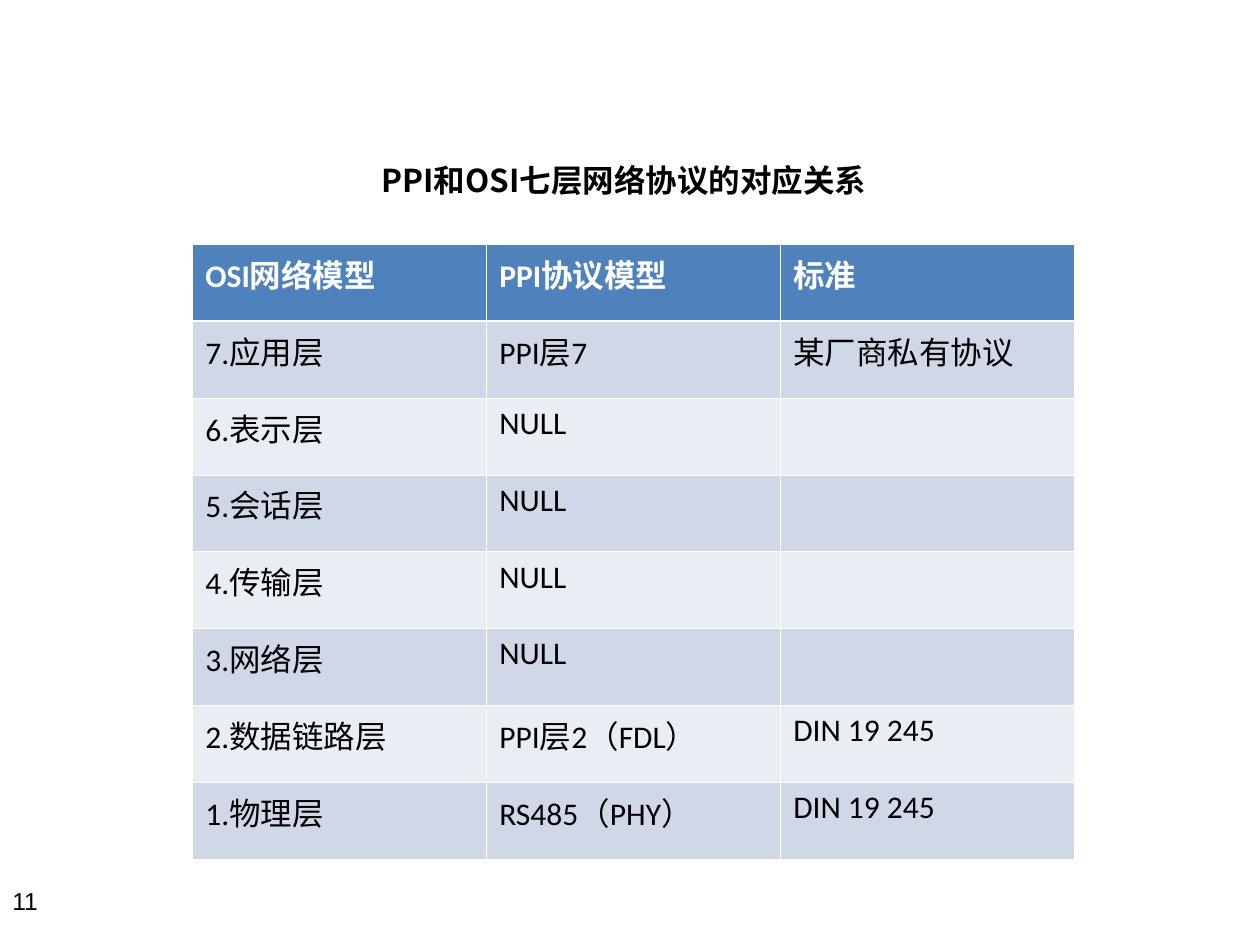
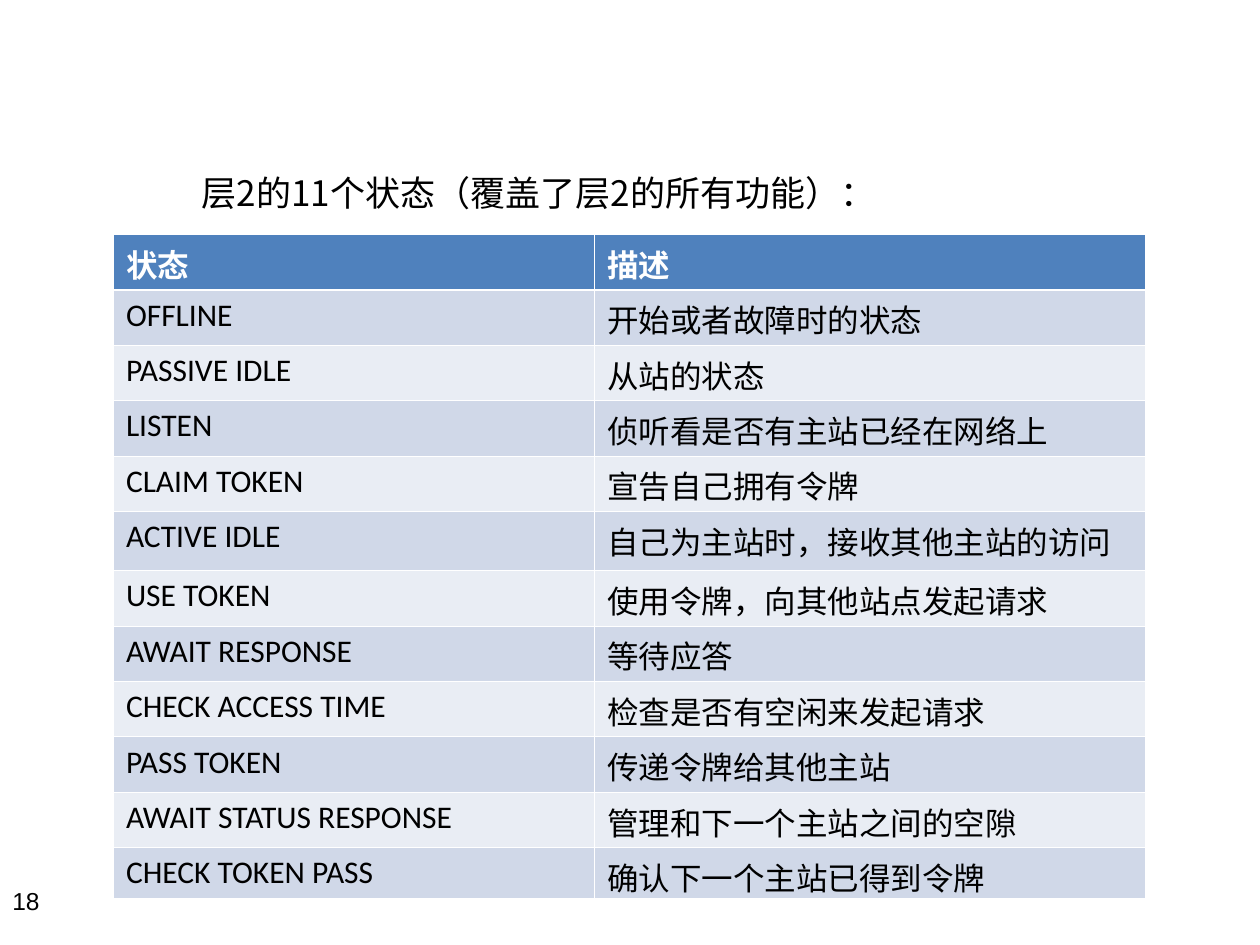
import pptx
import pptx.dml.color
import pptx.enum.text
import pptx.oxml.ns
import pptx.util
from lxml import etree

RGB = pptx.dml.color.RGBColor
BLACK = RGB(0x00, 0x00, 0x00)
WHITE = RGB(0xFF, 0xFF, 0xFF)
HEADER_BLUE = RGB(0x4F, 0x81, 0xBD)
BANDS = (RGB(0xE9, 0xED, 0xF4), RGB(0xD0, 0xD8, 0xE8))

CJK_FONT = "Noto Sans CJK SC"
TABLE_FONT = "Calibri"
NUMBER_FONT = "Arial"
THIN, THICK = 0.45, 1.47

OSI_ROWS = [
    ("OSI网络模型", "PPI协议模型", "标准"),
    ("7.应用层", "PPI层7", "某厂商私有协议"),
    ("6.表示层", "NULL", ""),
    ("5.会话层", "NULL", ""),
    ("4.传输层", "NULL", ""),
    ("3.网络层", "NULL", ""),
    ("2.数据链路层", "PPI层2（FDL）", "DIN 19 245"),
    ("1.物理层", "RS485（PHY）", "DIN 19 245"),
]
STATE_ROWS = [
    ("状态", "描述"),
    ("OFFLINE", "开始或者故障时的状态"),
    ("PASSIVE IDLE", "从站的状态"),
    ("LISTEN", "侦听看是否有主站已经在网络上"),
    ("CLAIM TOKEN", "宣告自己拥有令牌"),
    ("ACTIVE IDLE", "自己为主站时，接收其他主站的访问"),
    ("USE TOKEN", "使用令牌，向其他站点发起请求"),
    ("AWAIT RESPONSE", "等待应答"),
    ("CHECK ACCESS TIME", "检查是否有空闲来发起请求"),
    ("PASS TOKEN", "传递令牌给其他主站"),
    ("AWAIT STATUS RESPONSE", "管理和下一个主站之间的空隙"),
    ("CHECK TOKEN PASS", "确认下一个主站已得到令牌"),
]


def inches(values):
    return [pptx.util.Inches(value) for value in values]


def write(frame, text, font, size, color=BLACK, bold=False):
    """Fill a text frame with one formatted paragraph."""
    frame.text = text
    paragraph = frame.paragraphs[0]
    for run in paragraph.runs:
        run.font.name = font
        run.font.size = pptx.util.Pt(size)
        run.font.bold = bold
        run.font.color.rgb = color
        east_asian = etree.SubElement(run.font._element, pptx.oxml.ns.qn("a:ea"))
        east_asian.set("typeface", CJK_FONT)
    return paragraph


def add_title(slide, text, box, size, bold=False):
    frame = slide.shapes.add_textbox(*inches(box)).text_frame
    frame.word_wrap = True
    frame.vertical_anchor = pptx.enum.text.MSO_ANCHOR.MIDDLE
    paragraph = write(frame, text, CJK_FONT, size, bold=bold)
    paragraph.alignment = pptx.enum.text.PP_ALIGN.CENTER


def add_page_number(slide, number):
    frame = slide.shapes.add_textbox(*inches((0, 6.98, 2.33, 0.52))).text_frame
    frame.word_wrap = True
    write(frame, str(number), NUMBER_FONT, 14)


def set_borders(cell, top, bottom):
    """White rules on all four sides of a cell, widths in points."""
    properties = cell._tc.get_or_add_tcPr()
    for side, width in (("L", THIN), ("R", THIN), ("T", top), ("B", bottom)):
        rule = etree.SubElement(properties, pptx.oxml.ns.qn(f"a:ln{side}"))
        rule.set("w", str(int(pptx.util.Pt(width))))
        fill = etree.SubElement(rule, pptx.oxml.ns.qn("a:solidFill"))
        etree.SubElement(fill, pptx.oxml.ns.qn("a:srgbClr")).set("val", str(WHITE))


def add_banded_table(slide, rows, corner, widths, heights):
    box = inches((*corner, sum(widths), sum(heights)))
    table = slide.shapes.add_table(len(rows), len(widths), *box).table
    for column, width in zip(table.columns, inches(widths)):
        column.width = width
    for row, height in zip(table.rows, inches(heights)):
        row.height = height
    for r, texts in enumerate(rows):
        header = r == 0
        for c, text in enumerate(texts):
            cell = table.cell(r, c)
            # The rule under the header is heavier than the others
            set_borders(cell, THICK if r == 1 else THIN, THICK if header else THIN)
            cell.fill.solid()
            cell.fill.fore_color.rgb = HEADER_BLUE if header else BANDS[r % 2]
            write(cell.text_frame, text, TABLE_FONT, 18,
                  WHITE if header else BLACK, header)


def main():
    deck = pptx.Presentation()
    deck.slide_width, deck.slide_height = inches((10, 7.5))
    blank = deck.slide_layouts[6]

    # PPI compared with the seven OSI layers
    osi = deck.slides.add_slide(blank)
    add_page_number(osi, 11)
    add_banded_table(osi, OSI_ROWS, (1.53, 1.94), [7 / 3] * 3,
                     [0.61] * len(OSI_ROWS))
    add_title(osi, "PPI和OSI七层网络协议的对应关系", (2.84, 1.23, 4.22, 0.4), 18, True)

    # The states of layer 2
    states = deck.slides.add_slide(blank)
    add_page_number(states, 18)
    add_title(states, "层2的11个状态（覆盖了层2的所有功能）：", (1.33, 1.31, 5.89, 0.44), 20)
    add_banded_table(states, STATE_ROWS, (0.9, 1.86), (3.82, 4.37),
                     [0.44] * 5 + [0.47] + [0.44] * 5 + [0.4])

    deck.save("out.pptx")


if __name__ == "__main__":
    main()
